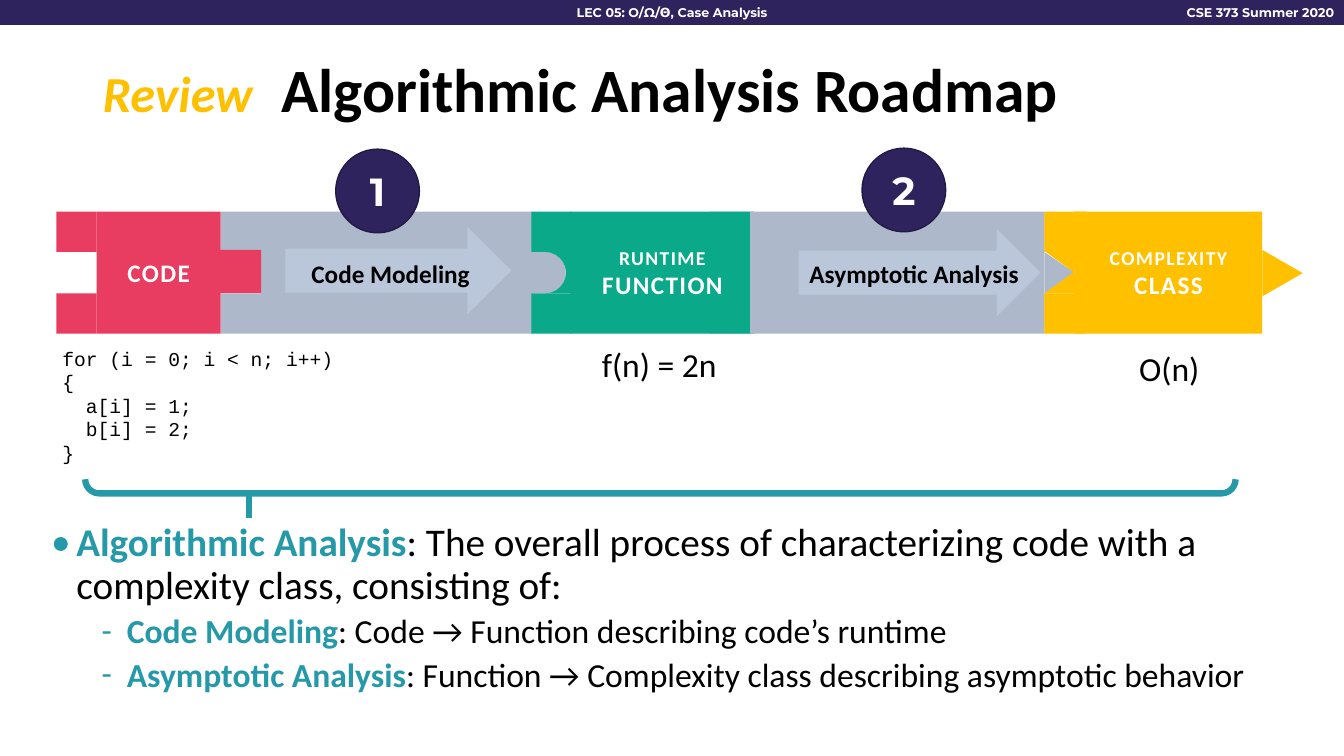
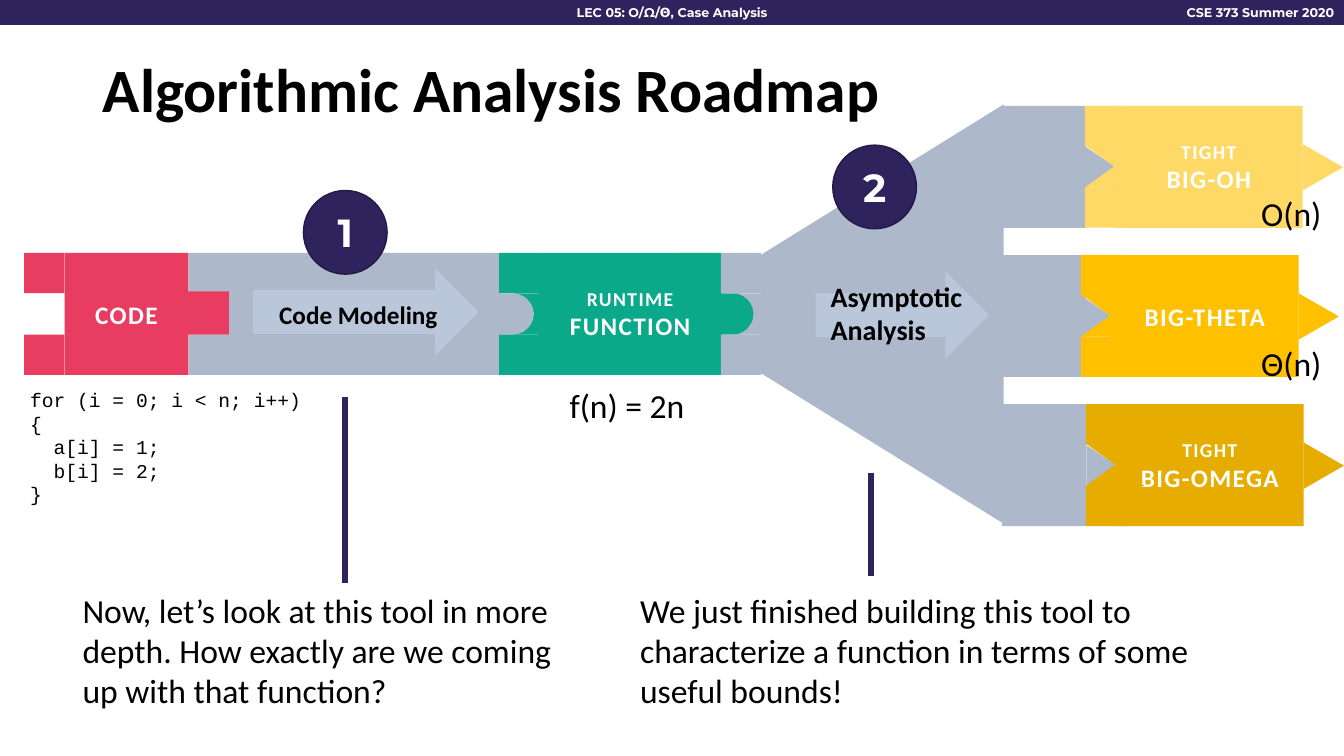
from dataclasses import dataclass, replace

from lxml import etree
from pptx import Presentation
from pptx import util as u
from pptx.dml.color import RGBColor
from pptx.enum import shapes, text
from pptx.oxml.ns import qn

WIDTH, HEIGHT = 13.33, 7.5
TITLE_ONLY = 5

WHITE = RGBColor(0xFF, 0xFF, 0xFF)
BLACK = RGBColor(0, 0, 0)
PURPLE = RGBColor(0x2E, 0x23, 0x5D)
PURPLE_EDGE = RGBColor(0x22, 0x1A, 0x45)
GREY = RGBColor(0xAD, 0xB9, 0xCA)
ARROW_GREY = RGBColor(0xBA, 0xC7, 0xDA)
RED = RGBColor(0xE8, 0x3C, 0x60)
GREEN = RGBColor(0x09, 0xA9, 0x8A)
GOLD = RGBColor(0xFF, 0xC0, 0x00)
PALE_GOLD = RGBColor(0xFF, 0xD9, 0x66)
DARK_GOLD = RGBColor(0xE6, 0xAC, 0x00)
TEAL = RGBColor(0x26, 0x99, 0xA9)

# Puzzle band: full height, and the side of the square teeth at its corners
BAND = 1.21
TOOTH = 0.4

PRESET = shapes.MSO_SHAPE
LEFT, CENTER, RIGHT = text.PP_ALIGN.LEFT, text.PP_ALIGN.CENTER, text.PP_ALIGN.RIGHT
MIDDLE = text.MSO_ANCHOR.MIDDLE


@dataclass(frozen=True)
class Style:
    size: float
    color: RGBColor = BLACK
    bold: bool = False
    italic: bool = False
    font: str = "Calibri"
    spacing: int = 0


HEADER = Style(9, WHITE, True, font="Montserrat")
HEADING = Style(44, bold=True)
REVIEW = Style(36, GOLD, True, True)
PIECE = Style(18, WHITE, True, spacing=100)
PIECE_SMALL = replace(PIECE, size=14)
STEP = Style(28, WHITE, True, font="Montserrat")
TOOL = Style(18, bold=True)
CODE = Style(14, font="Courier New")
PLAIN = Style(24)


def inches(*lengths):
    return [u.Inches(length) for length in lengths]


def add_runs(paragraph, *runs):
    for words, style in runs:
        run = paragraph.add_run()
        run.text = words
        font = run.font
        font.name, font.size = style.font, u.Pt(style.size)
        font.bold, font.italic = style.bold, style.italic
        font.color.rgb = style.color
        if style.spacing:
            font._element.set("spc", str(style.spacing))


def write(frame, lines, align=LEFT):
    """Fill a frame with one paragraph for each (words, style) line."""
    for number, line in enumerate(lines):
        paragraph = frame.add_paragraph() if number else frame.paragraphs[0]
        paragraph.alignment = align
        add_runs(paragraph, line)


def add_label(slide, box, lines, align=LEFT, wrap=True):
    frame = slide.shapes.add_textbox(*inches(*box)).text_frame
    frame.word_wrap = wrap
    write(frame, lines, align)
    return frame


def add_preset(slide, preset, box, fill=None, edge=None, edge_width=1,
               rotation=0, flip=False, lines=()):
    shape = slide.shapes.add_shape(preset, *inches(*box))
    shape.shadow.inherit = False
    shape.rotation = rotation
    if fill is None:
        shape.fill.background()
    else:
        shape.fill.solid()
        shape.fill.fore_color.rgb = fill
    if edge is None:
        shape.line.fill.background()
    else:
        shape.line.color.rgb = edge
        shape.line.width = u.Pt(edge_width)
    if flip:
        shape.element.spPr.find(qn("a:xfrm")).set("flipH", "1")
    if lines:
        shape.text_frame.vertical_anchor = MIDDLE
        write(shape.text_frame, lines, CENTER)
    return shape


def add_stem(slide, x, top, bottom, color):
    stem = slide.shapes.add_connector(
        shapes.MSO_CONNECTOR.STRAIGHT, *inches(x, top, x, bottom))
    stem.line.color.rgb = color
    stem.line.width = u.Pt(4.5)
    etree.SubElement(stem.element.spPr, qn("a:effectLst"))


def add_block(slide, left, top, width, color, lines=()):
    add_preset(slide, PRESET.RECTANGLE, (left, top, width, BAND), color, lines=lines)


def add_teeth(slide, left, top, color):
    """Two squares at the top and bottom of the band, with a gap between."""
    for tooth_top in (top, top + BAND - TOOTH):
        add_preset(slide, PRESET.RECTANGLE, (left, tooth_top, TOOTH, TOOTH), color)


def add_knob(slide, left, top, width, color):
    """Round joint, hollow on its left and bulging on its right."""
    add_preset(slide, PRESET.FLOWCHART_STORED_DATA,
               (left, top + TOOTH, width, BAND - 2 * TOOTH), color, flip=True)


def add_arrow(slide, left, top, width):
    add_preset(slide, PRESET.RIGHT_ARROW, (left, top, width, 0.87), ARROW_GREY)


def add_step(slide, left, top, number):
    add_preset(slide, PRESET.OVAL, (left, top, 0.83, 0.83), PURPLE, PURPLE_EDGE,
               lines=[(number, STEP)])


def add_code_to_function(slide, left, top):
    """Left part of the roadmap: code, the modeling tool and the function."""
    add_teeth(slide, left + 1.63, top, GREY)
    add_block(slide, left + 2.03, top, 2.69, GREY)
    add_teeth(slide, left + 6.48, top, GREY)
    add_knob(slide, left + 6.1, top, 1.16, GREEN)
    add_knob(slide, left + 3.99, top, 1.06, GREY)
    add_knob(slide, left + 4.85, top, 1.22, GREEN)
    add_teeth(slide, left + 4.71, top, GREEN)

    add_block(slide, left + TOOTH, top, 1.23, RED, [("CODE", PIECE)])
    add_preset(slide, PRESET.RECTANGLE, (left + 1.57, top + 0.38, 0.46, 0.43), RED)
    add_teeth(slide, left, top, RED)

    add_arrow(slide, left + 2.27, top + 0.15, 2.24)
    add_label(slide, (left + 2.43, top + 0.41, 1.78, 0.4),
              [("Code Modeling", TOOL)], wrap=False)
    add_block(slide, left + 5.1, top, 1.82, GREEN,
              [("RUNTIME", PIECE_SMALL), ("FUNCTION", PIECE)])
    add_step(slide, left + 2.77, top - 0.62, "1")

    program = ("for (i = 0; i < n; i++) {", "  a[i] = 1;", "  b[i] = 2;", "}")
    add_label(slide, (left - 0.04, top + 1.29, 2.92, 1.04),
              [(line, CODE) for line in program])
    add_label(slide, (left + 5.31, top + 1.26, 1.35, 0.5),
              [("f(n) = 2n", PLAIN)], wrap=False)


def add_class_piece(slide, left, top, color, lines):
    """Final piece: a grey point enters on the left, a tip leaves on the right."""
    add_preset(slide, PRESET.ISOSCELES_TRIANGLE, (left - 0.05, top + 0.46, 0.42, 0.31),
               GREY, rotation=90)
    add_block(slide, left + 0.3, top, 1.86, color, lines)
    add_preset(slide, PRESET.FLOWCHART_COLLATE, (left, top + 0.39, 0.58, 0.42), color)
    add_teeth(slide, left, top, color)
    add_preset(slide, PRESET.ISOSCELES_TRIANGLE, (left + 2.13, top + 0.41, 0.46, 0.4),
               color, rotation=90)


def add_definitions(slide, box):
    sections = [
        (0, "Algorithmic Analysis",
         ": The overall process of characterizing code with a complexity class, consisting of:"),
        (1, "Code Modeling", ": Code → Function describing code’s runtime"),
        (1, "Asymptotic Analysis",
         ": Function → Complexity class describing asymptotic behavior"),
    ]
    frame = add_label(slide, box, [])
    for number, (level, term, meaning) in enumerate(sections):
        paragraph = frame.add_paragraph() if number else frame.paragraphs[0]
        paragraph.level = level
        properties = paragraph._p.get_or_add_pPr()
        properties.set("marL", str(u.Inches(0.25 + 0.5 * level)))
        properties.set("indent", str(u.Inches(-0.25)))
        tint = etree.SubElement(properties, qn("a:buClr"))
        etree.SubElement(tint, qn("a:srgbClr")).set("val", str(TEAL))
        etree.SubElement(properties, qn("a:buFont")).set("typeface", "Calibri")
        etree.SubElement(properties, qn("a:buChar")).set("char", "•-"[level])
        paragraph.line_spacing = 0.9
        if number:
            paragraph.space_before = u.Pt(5)
        style = Style(28 - 4 * level)
        add_runs(paragraph, (term, replace(style, color=TEAL, bold=True)), (meaning, style))


def add_header(slide):
    add_preset(slide, PRESET.RECTANGLE, (-0.03, -0.01, WIDTH + 0.04, 0.25), PURPLE, PURPLE)
    add_label(slide, (11.56, 0, 1.77, 0.25), [("CSE 373 Summer 2020", HEADER)], RIGHT)
    add_label(slide, (3.28, 0, 6.77, 0.25),
              [("LEC 05: O/Ω/𝝝, Case Analysis", HEADER)], CENTER)


def new_slide(deck, *title_runs, tab=None):
    """Add a slide with its header and title; tab is a stop inside the title."""
    slide = deck.slides.add_slide(deck.slide_layouts[TITLE_ONLY])
    add_header(slide)
    title = slide.shapes.title
    title.left, title.top, title.width, title.height = inches(0.92, 0.5, 11.5, 0.83)
    frame = title.text_frame
    frame.auto_size = text.MSO_AUTO_SIZE.NONE
    frame.vertical_anchor = MIDDLE
    paragraph = frame.paragraphs[0]
    if tab:
        stops = etree.SubElement(paragraph._p.get_or_add_pPr(), qn("a:tabLst"))
        stop = etree.SubElement(stops, qn("a:tab"))
        stop.set("pos", str(u.Inches(tab)))
        stop.set("algn", "l")
    paragraph.alignment = LEFT
    paragraph.line_spacing = 0.9
    add_runs(paragraph, *title_runs)
    return slide


def add_review_slide(deck):
    slide = new_slide(deck, ("Review", REVIEW),
                      ("\tAlgorithmic Analysis Roadmap", HEADING), tab=1.77)
    left, top = 0.56, 2.1
    add_code_to_function(slide, left, top)
    add_block(slide, left + 6.88, top, 2.92, GREY)
    add_knob(slide, left + 7.05, top, 1.22, GREY)
    add_arrow(slide, left + 7.36, top + 0.17, 2.4)
    add_label(slide, (left + 7.37, top + 0.41, 2.29, 0.4), [("Asymptotic Analysis", TOOL)])
    add_class_piece(slide, left + 9.8, top, GOLD,
                    [("COMPLEXITY", PIECE_SMALL), ("CLASS", PIECE)])
    add_step(slide, left + 7.99, top - 0.63, "2")
    add_label(slide, (left + 10.64, top + 1.3, 0.81, 0.5), [("O(n)", PLAIN)], wrap=False)

    bracket = add_preset(slide, PRESET.LEFT_BRACKET, (6.48, -0.88, 0.14, 11.41),
                         edge=TEAL, edge_width=4.5, rotation=270)
    bracket.adjustments[0] = 1
    add_stem(slide, 2.47, 4.89, 5.14, TEAL)
    add_definitions(slide, (0.41, 5.14, 12.51, 1.86))


def add_branches_slide(deck):
    slide = new_slide(deck, ("Algorithmic Analysis Roadmap", HEADING))
    left, top = 0.24, 2.51
    add_code_to_function(slide, left, top)
    fan = add_preset(slide, PRESET.TRAPEZOID, (6.67, 1.91, 4.16, 2.41), GREY, rotation=270)
    fan.adjustments[0] = 0.62
    add_teeth(slide, left + 6.91, top, GREY)
    add_knob(slide, left + 7.03, top, 1.22, GREY)
    add_arrow(slide, left + 7.85, top + 0.18, 1.72)
    tool = replace(TOOL, size=20)
    add_label(slide, (left + 7.9, top + 0.21, 1.62, 0.77),
              [("Asymptotic", tool), ("Analysis", tool)])
    add_step(slide, left + 8.02, top - 1.07, "2")

    branches = [
        (10.76, PALE_GOLD, [("TIGHT", PIECE_SMALL), ("BIG-OH", PIECE)]),
        (10.72, GOLD, [("BIG-THETA", PIECE)]),
        (10.77, DARK_GOLD, [("TIGHT", PIECE_SMALL), ("BIG-OMEGA", PIECE)]),
    ]
    for row, (piece_left, color, lines) in enumerate(branches):
        piece_top = 1.05 + 1.48 * row
        add_block(slide, 9.94, piece_top, 0.83, GREY)
        add_class_piece(slide, piece_left, piece_top, color, lines)
    for row, bound in enumerate(("O(n)", "Θ(n)")):
        add_label(slide, (12.41, 1.86 + 1.49 * row, 0.94, 0.5), [(bound, PLAIN)])

    add_label(slide, (6.25, 5.8, 5.99, 1.31), [(
        "We just finished building this tool to characterize a function "
        "in terms of some useful bounds!", PLAIN)])
    add_label(slide, (0.72, 5.8, 4.98, 1.31), [(
        "Now, let’s look at this tool in more depth. "
        "How exactly are we coming up with that function?", PLAIN)])
    add_stem(slide, 8.64, 4.69, 5.71, PURPLE)
    add_stem(slide, 3.42, 3.94, 5.78, PURPLE)


def main():
    deck = Presentation()
    deck.slide_width, deck.slide_height = inches(WIDTH, HEIGHT)
    add_review_slide(deck)
    add_branches_slide(deck)
    deck.save("out.pptx")


if __name__ == "__main__":
    main()
